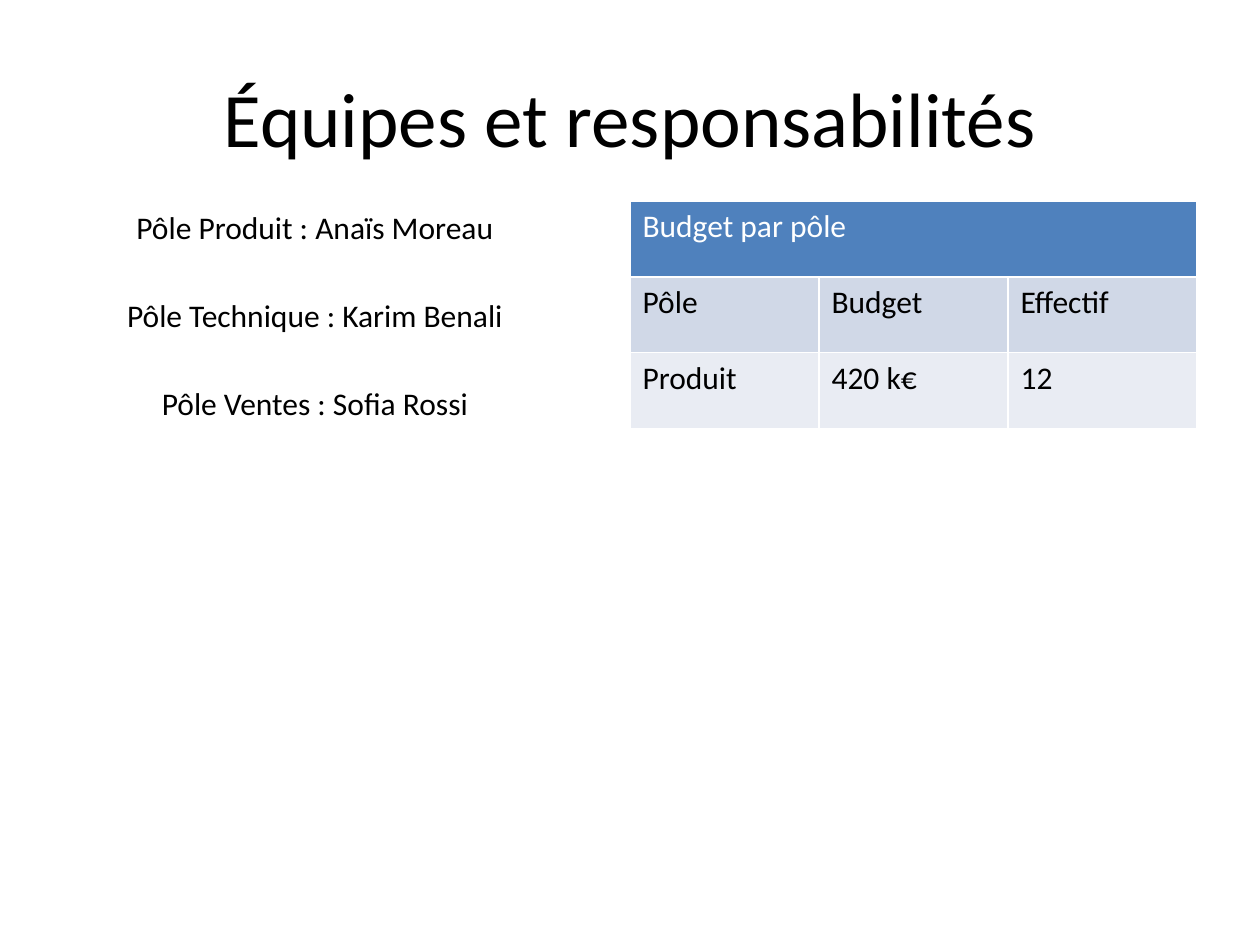
from pptx import Presentation
from pptx.dml.color import RGBColor
from pptx.enum.text import MSO_AUTO_SIZE, PP_ALIGN
from pptx.util import Inches, Pt

TITLE = "Équipes et responsabilités"
TEAMS = [
    ("Pôle Produit : Anaïs Moreau", 3.04),
    ("Pôle Technique : Karim Benali", 3.21),
    ("Pôle Ventes : Sofia Rossi", 2.66),
]
BUDGET = [
    ["Budget par pôle"],
    ["Pôle", "Budget", "Effectif"],
    ["Produit", "420 k€", "12"],
]
COLORS = {"text": "000000", "head_text": "FFFFFF", "head": "4F81BD",
          "labels": "D0D8E7", "values": "E9ECF3"}
ROW_STYLES = [("head", "head_text"), ("labels", "text"), ("values", "text")]
TOP, TEAM_CENTER, TEAM_STEP = 1.6, 2.5, 0.7
COL_W, ROW_H = 1.5, 0.6


def rgb(name):
    """Return the named colour."""
    return RGBColor.from_string(COLORS[name])


def style(p, size, color):
    """Set the font of a paragraph."""
    p.font.name = "Calibri"
    p.font.size = Pt(size)
    p.font.bold = False
    p.font.color.rgb = rgb(color)


def add_teams(s):
    """Add the grouped, centred team labels."""
    group = s.shapes.add_group_shape()
    for i, (text, width) in enumerate(TEAMS):
        box = group.shapes.add_textbox(
            Inches(TEAM_CENTER - width / 2), Inches(TOP + i * TEAM_STEP),
            Inches(width), Inches(0.4))
        tf = box.text_frame
        tf.word_wrap = False
        tf.auto_size = MSO_AUTO_SIZE.SHAPE_TO_FIT_TEXT
        p = tf.paragraphs[0]
        p.text = text
        p.alignment = PP_ALIGN.CENTER
        style(p, 18, "text")


def add_budget(s):
    """Add the budget table with its merged heading."""
    rows, cols = len(BUDGET), len(BUDGET[-1])
    table = s.shapes.add_table(
        rows, cols, Inches(5), Inches(TOP),
        Inches(COL_W * cols), Inches(ROW_H * rows)).table
    table.cell(0, 0).merge(table.cell(0, cols - 1))
    for r, (values, (fill, color)) in enumerate(zip(BUDGET, ROW_STYLES)):
        for c, value in enumerate(values):
            cell = table.cell(r, c)
            cell.fill.solid()
            cell.fill.fore_color.rgb = rgb(fill)
            cell.text = value
            style(cell.text_frame.paragraphs[0], 18, color)


def main():
    """Build and save the slide."""
    prs = Presentation()
    prs.slide_width, prs.slide_height = Inches(10), Inches(7.5)
    s = prs.slides.add_slide(prs.slide_layouts[5])
    title = s.shapes.title
    title.left, title.top = Inches(0.5), Inches(0.3)
    title.width, title.height = Inches(9), Inches(1.25)
    title.text_frame.text = TITLE
    style(title.text_frame.paragraphs[0], 44, "text")
    add_teams(s)
    add_budget(s)
    prs.save("out.pptx")


if __name__ == "__main__":
    main()
